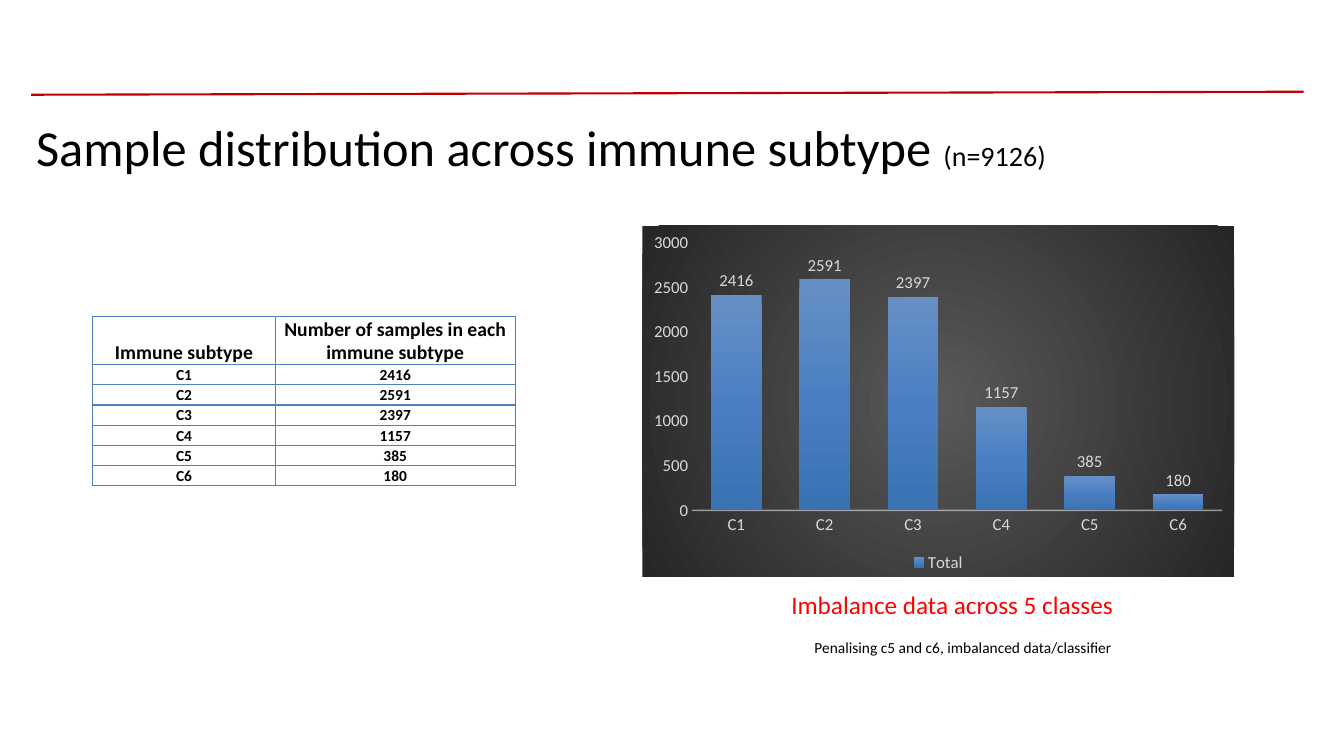
from lxml import etree
from pptx import Presentation
from pptx.chart import data as cd
from pptx.dml.color import RGBColor
from pptx.enum import chart as ch, shapes, text
from pptx.oxml import ns, parse_xml
from pptx.util import Inches, Pt

# Content
TITLE = [("Sample distribution across immune subtype ", 36), ("(n=9126)", 20)]
HEAD = ("Immune subtype", "Number of samples in each immune subtype")
COUNTS = {"C1": 2416, "C2": 2591, "C3": 2397, "C4": 1157, "C5": 385, "C6": 180}
CLAIM = [("Imbalance data across 5 classes", 18)]
NOTE = [("Penalising c5 and c6, imbalanced data/classifier", 11)]

# Style
FONT = "Calibri"
BLACK = RGBColor(0x00, 0x00, 0x00)
RED = RGBColor(0xFF, 0x00, 0x00)
RULE = RGBColor(0xC0, 0x00, 0x00)
EDGE = RGBColor(0x4F, 0x81, 0xBD)
PALE = RGBColor(0xD9, 0xD9, 0xD9)
AXIS = RGBColor(0xF2, 0xF2, 0xF2)
BACK = [(0, RGBColor(0x59, 0x59, 0x59)), (100, RGBColor(0x26, 0x26, 0x26))]
BARS = [(0, RGBColor(0x68, 0x8F, 0xC5)), (50, RGBColor(0x4A, 0x80, 0xC3)),
        (100, RGBColor(0x3B, 0x72, 0xB3))]
RADIAL = ('<a:path path="circle"><a:fillToRect l="50000" t="50000" '
          'r="50000" b="50000"/></a:path>')
DOWN = '<a:lin ang="5400000" scaled="0"/>'


def style(font, size, color, bold=False):
    font.name, font.size, font.bold = FONT, Pt(size), bold
    font.color.rgb = color


def add_run(para, words, size, color, bold=False):
    run = para.add_run()
    run.text = words
    style(run.font, size, color, bold)


def add_text(slide, box, runs, color):
    frame = slide.shapes.add_textbox(*map(Inches, box)).text_frame
    frame.word_wrap = True
    for words, size in runs:
        add_run(frame.paragraphs[0], words, size, color)
    return frame


def gradient(stops, kind):
    marks = "".join(f'<a:gs pos="{pos * 1000}"><a:srgbClr val="{color}"/></a:gs>'
                    for pos, color in stops)
    return parse_xml(f'<a:gradFill {ns.nsdecls("a")} rotWithShape="1">'
                     f'<a:gsLst>{marks}</a:gsLst>{kind}</a:gradFill>')


def add_rule(slide):
    line = slide.shapes.add_connector(
        shapes.MSO_CONNECTOR.STRAIGHT,
        *map(Inches, (0.31, 0.94, 12.93, 0.91)))
    line.line.color.rgb = RULE
    line.line.width = Pt(1.5)
    etree.SubElement(line._element.spPr, ns.qn("a:effectLst"))


def fill_cell(cell, words, size):
    cell.fill.background()
    cell.vertical_anchor = text.MSO_ANCHOR.BOTTOM
    cell.margin_left = cell.margin_right = cell.margin_top = Inches(0.01)
    cell.margin_bottom = 0
    para = cell.text_frame.paragraphs[0]
    para.alignment = text.PP_ALIGN.CENTER
    add_run(para, words, size, BLACK, True)
    for spot, side in enumerate("LRTB"):
        cell._tc.tcPr.insert(spot, parse_xml(
            f'<a:ln{side} {ns.nsdecls("a")} w="12700"><a:solidFill>'
            f'<a:srgbClr val="{EDGE}"/></a:solidFill></a:ln{side}>'))


def add_counts(slide):
    rows = [HEAD] + [(name, str(num)) for name, num in COUNTS.items()]
    box = map(Inches, (0.92, 3.14, 4.19, 1.68))
    frame = slide.shapes.add_table(len(rows), 2, *box)
    table = frame.table
    table.first_row = table.horz_banding = False
    for col, width in zip(table.columns, (1.81, 2.38)):
        col.width = Inches(width)
    for r, row in enumerate(rows):
        table.rows[r].height = Inches(0.2)
        for c, words in enumerate(row):
            fill_cell(table.cell(r, c), words, 11 if r else 14)
    frame.height = Inches(1.68)


def add_bars(slide):
    data = cd.CategoryChartData()
    data.categories = list(COUNTS)
    data.add_series("Total", list(COUNTS.values()))
    chart = slide.shapes.add_chart(
        ch.XL_CHART_TYPE.COLUMN_CLUSTERED,
        *map(Inches, (6.37, 2.24, 5.87, 3.48)), data).chart
    style(chart.font, 10, BLACK)
    chart.has_title = False

    # Dark panel
    panel = parse_xml(f'<c:spPr {ns.nsdecls("c", "a")}/>')
    panel.append(gradient(BACK, RADIAL))
    panel.append(parse_xml(f'<a:ln {ns.nsdecls("a")}><a:noFill/></a:ln>'))
    chart._chartSpace.find(ns.qn("c:chart")).addnext(panel)

    # Legend and axes
    chart.has_legend = True
    chart.legend.position = ch.XL_LEGEND_POSITION.BOTTOM
    chart.legend.include_in_layout = False
    style(chart.legend.font, 12, PALE)
    cat, val = chart.category_axis, chart.value_axis
    for axis in (cat, val):
        axis.has_major_gridlines = False
        axis.major_tick_mark = axis.minor_tick_mark = ch.XL_TICK_MARK.NONE
        style(axis.tick_labels.font, 12, PALE)
    val.minimum_scale, val.maximum_scale, val.major_unit = 0, 3000, 500
    val.format.line.fill.background()
    line = cat.format.line
    line.color.rgb = AXIS
    line.width = Pt(1)
    tint = cat._element.find(".//" + ns.qn("c:spPr")).find(".//" + ns.qn("a:srgbClr"))
    etree.SubElement(tint, ns.qn("a:alpha"), val="54000")

    # Bars
    plot = chart.plots[0]
    plot.gap_width, plot.vary_by_categories = 75, False
    bars = plot.series[0]
    bars.invert_if_negative = False
    bars._element.get_or_add_spPr().append(gradient(BARS, DOWN))
    labels = bars.data_labels
    labels.show_value = True
    labels.position = ch.XL_LABEL_POSITION.OUTSIDE_END
    style(labels.font, 12, PALE)


def main():
    deck = Presentation()
    deck.slide_width, deck.slide_height = Inches(13.33), Inches(7.5)
    slide = deck.slides.add_slide(deck.slide_layouts[6])
    add_rule(slide)
    title = add_text(slide, (0.26, 1.08, 11.5, 0.81), TITLE, BLACK)
    title.vertical_anchor = text.MSO_ANCHOR.MIDDLE
    title.paragraphs[0].line_spacing = 0.9
    add_bars(slide)
    add_counts(slide)
    add_text(slide, (7.75, 5.8, 3.46, 0.4), CLAIM, RED)
    add_text(slide, (7.98, 6.28, 3.24, 0.29), NOTE, BLACK)
    deck.save("out.pptx")


if __name__ == "__main__":
    main()
